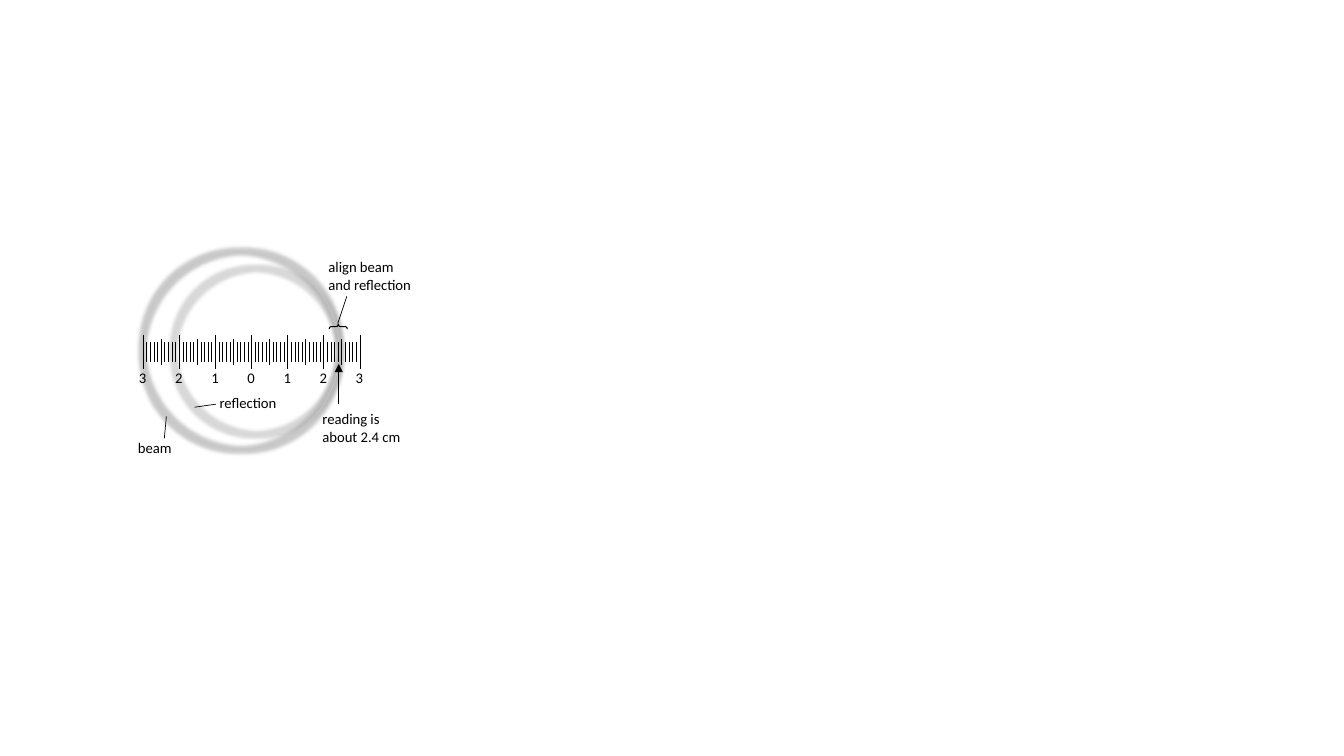
"""Draw a beam and its reflection on a centimetre scale."""
from dataclasses import dataclass

import lxml.etree
import pptx
import pptx.dml.color
import pptx.enum.shapes
import pptx.enum.text
import pptx.oxml.ns
import pptx.util

Inches = pptx.util.Inches
SHAPE = pptx.enum.shapes.MSO_SHAPE
BLACK = "000000"
LEFT, RIGHT, MID = 1.42, 3.57, 3.49
REACH = 3
TICKS = 10


@dataclass
class Ring:
    left: float
    top: float
    size: float
    fill: str
    glow: str
    rim: float


@dataclass
class Label:
    text: str
    left: float
    top: float
    width: float
    height: float = 0.28


@dataclass
class Line:
    x1: float
    y1: float
    x2: float
    y2: float
    arrow: bool = False


RINGS = [
    Ring(1.72, 2.66, 1.65, "D9D9D9", "BFBFBF", 0.004),
    Ring(1.41, 2.5, 1.96, "C7C7C7", "A6A6A6", 0.003),
]
LABELS = [
    Label("beam", 1.27, 4.3, 0.72),
    Label("reflection", 2.08, 3.86, 0.87),
    Label("align beam and reflection", 3.16, 2.51, 1.07, 0.45),
    Label("reading is about 2.4 cm", 3.1, 4.02, 0.99, 0.45),
]
LINES = [
    Line(1.63, 4.35, 1.65, 4.13),
    Line(1.93, 4.04, 2.14, 4.01),
    Line(3.35, 3.21, 3.44, 2.94),
    Line(3.36, 4.01, 3.36, 3.61, True),
]


def paint(target, tone: str) -> None:
    """Set a solid colour on a fill."""
    target.solid()
    target.fore_color.rgb = pptx.dml.color.RGBColor.from_string(tone)


def add_node(parent, tag: str, **attrs: str):
    """Append an XML element with the given attributes."""
    return lxml.etree.SubElement(parent, pptx.oxml.ns.qn(tag), attrs)


def draw_ring(shapes, ring: Ring) -> None:
    """Draw a thin ring with a soft glow."""
    size = Inches(ring.size)
    donut = shapes.add_shape(
        SHAPE.DONUT, Inches(ring.left), Inches(ring.top), size, size)
    donut.adjustments[0] = ring.rim
    paint(donut.fill, ring.fill)
    donut.line.fill.background()
    effects = add_node(donut._element.spPr, "a:effectLst")
    glow = add_node(effects, "a:glow", rad=str(pptx.util.Pt(5)))
    tone = add_node(glow, "a:srgbClr", val=ring.glow)
    add_node(tone, "a:alpha", val="60000")


def draw_line(shapes, line: Line) -> None:
    """Draw a fine black line, with an arrowhead if asked."""
    wire = shapes.add_connector(
        pptx.enum.shapes.MSO_CONNECTOR.STRAIGHT,
        Inches(line.x1), Inches(line.y1), Inches(line.x2), Inches(line.y2))
    wire.line.width = pptx.util.Pt(0.5)
    paint(wire.line.fill, BLACK)
    if line.arrow:
        add_node(wire.line._get_or_add_ln(), "a:tailEnd", type="triangle")
    add_node(wire._element.spPr, "a:effectLst")


def draw_label(shapes, label: Label) -> None:
    """Write a label in small black type."""
    box = shapes.add_textbox(
        Inches(label.left), Inches(label.top),
        Inches(label.width), Inches(label.height))
    frame = box.text_frame
    frame.word_wrap = True
    frame.auto_size = pptx.enum.text.MSO_AUTO_SIZE.SHAPE_TO_FIT_TEXT
    frame.text = label.text
    font = frame.paragraphs[0].runs[0].font
    font.name = "Calibri"
    font.size = pptx.util.Pt(10.5)
    paint(font.fill, BLACK)


def draw_scale(shapes) -> None:
    """Draw the ticks and numbers of the scale."""
    group = shapes.add_group_shape()
    count = 2 * REACH * TICKS
    step = (RIGHT - LEFT) / count
    for tick in range(count + 1):
        x = LEFT + tick * step
        half = 0.17 if tick % TICKS == 0 else 0.13 if tick % 5 == 0 else 0.1
        draw_line(group.shapes, Line(x, MID - half, x, MID + half))
    for mark in range(-REACH, REACH + 1):
        x = LEFT + (mark + REACH) * TICKS * step
        draw_label(shapes, Label(str(abs(mark)), x - 0.14, 3.61, 0.25, 0.29))


def draw_brace(shapes) -> None:
    """Draw the brace over the aligned edges."""
    brace = shapes.add_shape(
        SHAPE.RIGHT_BRACE, Inches(3.33), Inches(3.15), Inches(0.05), Inches(0.18))
    brace.rotation = 270
    brace.adjustments[0] = 0.41
    brace.shadow.inherit = False
    brace.fill.background()
    brace.line.width = pptx.util.Pt(0.75)
    paint(brace.line.fill, BLACK)


def main() -> None:
    """Build and save the slide."""
    deck = pptx.Presentation()
    deck.slide_width, deck.slide_height = Inches(13.33), Inches(7.5)
    shapes = deck.slides.add_slide(deck.slide_layouts[6]).shapes
    for ring in RINGS:
        draw_ring(shapes, ring)
    draw_scale(shapes)
    for label in LABELS:
        draw_label(shapes, label)
    for line in LINES:
        draw_line(shapes, line)
    draw_brace(shapes)
    deck.save("out.pptx")


if __name__ == "__main__":
    main()
